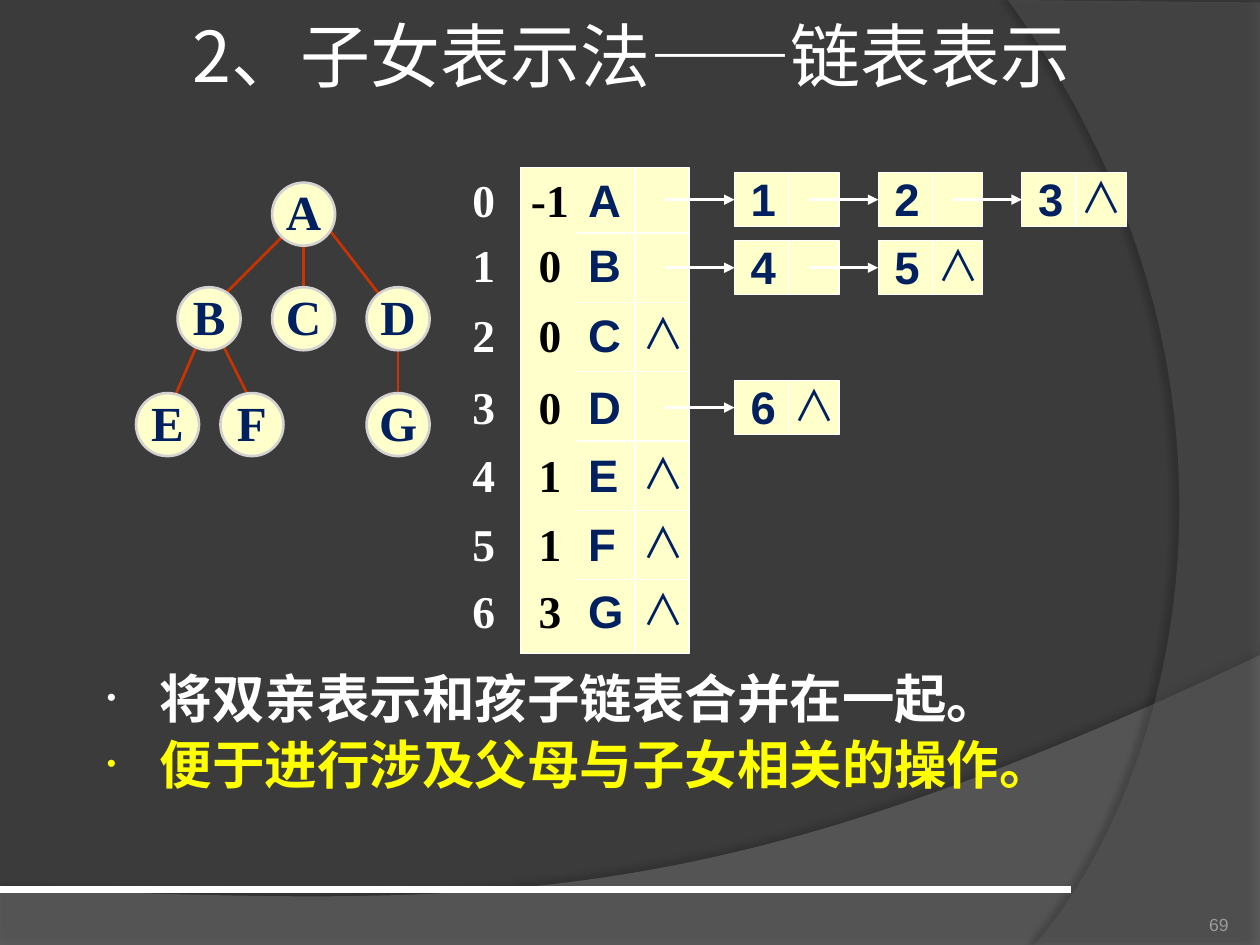
from lxml import etree
from pptx import Presentation
from pptx import util as u
from pptx.dml.color import RGBColor
from pptx.enum import shapes, text
from pptx.oxml import ns

CREAM, NAVY, WHITE, RUST = "FFFFCC", "002060", "FFFFFF", "CC3300"
SERIF, SANS, CJK = "Times New Roman", "Arial", "Noto Sans CJK SC"
LEFT, CENTER, RIGHT = text.PP_ALIGN.LEFT, text.PP_ALIGN.CENTER, text.PP_ALIGN.RIGHT
TOP, MIDDLE, BOTTOM = text.MSO_ANCHOR.TOP, text.MSO_ANCHOR.MIDDLE, text.MSO_ANCHOR.BOTTOM

TREE_NODES = {"A": (2.16, 1.45), "B": (1.41, 2.28), "C": (2.16, 2.28), "D": (2.91, 2.28),
              "E": (1.08, 3.12), "F": (1.75, 3.12), "G": (2.91, 3.12)}
TREE_EDGES = [(3.16, 2.7, 3.16, 3.28), (2.58, 1.78, 3.16, 2.53), (1.75, 2.7, 2, 3.2),
              (1.58, 2.7, 1.33, 3.28), (2.25, 1.87, 1.75, 2.37), (2.41, 1.87, 2.41, 2.37)]
# Text top, parent index, node name, has children
ROWS = [(1.32, "-1", "A", True), (1.83, "0", "B", True), (2.39, "0", "C", False),
        (2.96, "0", "D", True), (3.5, "1", "E", False), (4.05, "1", "F", False),
        (4.58, "3", "G", False)]
CHILD_LISTS = [(1.37, "123"), (1.91, "45"), (3.02, "6")]


def color(value):
    return RGBColor.from_string(value)


def add_xml(parent, tag, **attributes):
    return etree.SubElement(parent, ns.qn(tag), attributes)


def format_text(paragraph, content, size=26, font=SANS, ink=NAVY, bold=True, align=LEFT):
    paragraph.alignment = align
    run = paragraph.add_run()
    run.text = content
    run.font.name = font
    run.font.size = u.Pt(size)
    run.font.bold = bold
    run.font.color.rgb = color(ink)
    east_asian = font if "CJK" in font else CJK
    add_xml(run.font._element, "a:ea", typeface=east_asian)


def add_text(slide, content, x, y, width, height, anchor=TOP, wrap=False, inset=None, **style):
    frame = slide.shapes.add_textbox(*map(u.Inches, (x, y, width, height))).text_frame
    frame.word_wrap = wrap
    frame.vertical_anchor = anchor
    if inset is not None:
        frame.margin_left = frame.margin_right = u.Inches(inset)
        frame.margin_top = frame.margin_bottom = u.Inches(inset)
    format_text(frame.paragraphs[0], content, **style)
    return frame


def add_line(slide, x1, y1, x2, y2, ink=WHITE, width=0.75, arrow=False):
    line = slide.shapes.add_connector(shapes.MSO_CONNECTOR.STRAIGHT,
                                      *map(u.Inches, (x1, y1, x2, y2)))
    line.line.color.rgb = color(ink)
    line.line.width = u.Pt(width)
    if arrow:
        add_xml(line.line._get_or_add_ln(), "a:tailEnd", type="triangle")
    add_xml(line._element.spPr, "a:effectLst")
    return line


def add_cell(slide, kind, x, y, width, height, outline=WHITE, weight=0.75):
    shape = slide.shapes.add_shape(kind, *map(u.Inches, (x, y, width, height)))
    shape.shadow.inherit = False
    shape.fill.solid()
    shape.fill.fore_color.rgb = color(CREAM)
    shape.line.color.rgb = color(outline)
    shape.line.width = u.Pt(weight)
    return shape


def add_nil(slide, x, y):
    add_text(slide, "∧", x, y, 0.53, 0.5, size=24, font=CJK, bold=False)


def curve(p0, p1, p2, p3, steps=60):
    """Points along a cubic curve, without its first point."""
    for step in range(1, steps + 1):
        t = step / steps
        s = 1 - t
        yield tuple(s**3 * a + 3 * s * s * t * b + 3 * s * t * t * c + t**3 * d
                    for a, b, c, d in zip(p0, p1, p2, p3))


def add_swoosh(slide, points, fill, opacity, shade, distance, direction):
    start, *rest = [tuple(map(u.Inches, point)) for point in points]
    builder = slide.shapes.build_freeform(*start, scale=1.0)
    builder.add_line_segments(rest, close=True)
    shape = builder.convert_to_shape()
    shape.shadow.inherit = False
    shape.line.fill.background()
    shape.fill.solid()
    shape.fill.fore_color.rgb = color(fill)
    properties = shape._element.spPr
    add_xml(properties.find(".//" + ns.qn("a:srgbClr")), "a:alpha", val=str(opacity * 1000))
    shadow = add_xml(properties.find(ns.qn("a:effectLst")), "a:outerShdw",
                     blurRad=str(u.Pt(4)), dist=str(u.Pt(distance)),
                     dir=str(direction * 60000), algn="ctr", rotWithShape="0")
    shadow_color = add_xml(shadow, "a:srgbClr", val="000000")
    add_xml(shadow_color, "a:alpha", val=str(shade * 1000))


def add_background(slide):
    slide.background.fill.solid()
    slide.background.fill.fore_color.rgb = color("3B3B3B")
    wave = curve((10, 5.2), (5.59, 7.29), (3.91, 7.19), (0, 7.05))
    add_swoosh(slide, [(0, 7.5), (10, 7.5), (10, 5.2), *wave], "7F7F7F", 45, 35, 3.5, 270)
    arc = curve((8.21, 7.5), (9.35, 6.19), (10.18, 3), (8, 0))
    add_swoosh(slide, [(10, 0.02), (10, 7.5), (8.21, 7.5), *arc], "5E5E5E", 40, 45, 4, 180)
    add_line(slide, 0, 7.06, 8.5, 7.06, width=4.5)


def add_bullets(slide, items):
    frame = slide.shapes.add_textbox(*map(u.Inches, (0.71, 5.21, 8.76, 1.81))).text_frame
    frame.word_wrap = True
    for index, (content, ink) in enumerate(items):
        paragraph = frame.paragraphs[0] if index == 0 else frame.add_paragraph()
        paragraph.line_spacing = u.Pt(37.8)
        properties = paragraph._p.get_or_add_pPr()
        properties.set("marL", str(u.Inches(0.46)))
        properties.set("indent", str(u.Inches(-0.42)))
        add_xml(properties, "a:buSzPct", val="50000")
        add_xml(properties, "a:buFont", typeface=SANS)
        add_xml(properties, "a:buChar", char="•")
        format_text(paragraph, content, size=30, ink=ink)


def add_tree(slide):
    for edge in TREE_EDGES:
        add_line(slide, *edge, ink=RUST, width=1.5)
    for name, (x, y) in TREE_NODES.items():
        node = add_cell(slide, shapes.MSO_SHAPE.OVAL, x, y, 0.5, 0.5, "D4D2D0", 1.5)
        frame = node.text_frame
        frame.word_wrap = False
        frame.vertical_anchor = MIDDLE
        frame.margin_left = frame.margin_right = frame.margin_top = 0
        frame.margin_bottom = u.Inches(0.05)
        format_text(frame.paragraphs[0], name, size=28, font=SERIF, align=CENTER)


def add_child_list(slide, y, children):
    for column, child in enumerate(children):
        x = 5.83 + 1.14 * column
        cell = add_cell(slide, shapes.MSO_SHAPE.RECTANGLE, x, y, 0.83, 0.43)
        add_line(slide, x + 0.43, y, x + 0.43, y + 0.43)
        middle = y + 0.215
        arrow = add_line(slide, x - 0.55, middle, x, middle, width=1.5, arrow=True)
        arrow.end_connect(cell, 1)
        add_text(slide, child, x + 0.03, y - 0.06, 0.4, 0.53)
    add_nil(slide, x + 0.37, y - 0.06)


def add_node_array(slide):
    add_cell(slide, shapes.MSO_SHAPE.RECTANGLE, 4.13, 1.33, 1.34, 3.86)
    for y, children in CHILD_LISTS:
        add_child_list(slide, y, children)
    for row in range(len(ROWS) - 1):
        y = 1.85 + 0.55 * row
        add_line(slide, 5.47, y, 4.57, y)
    add_line(slide, 5.04, 1.33, 5.04, 5.19)
    for index, (y, parent, name, has_children) in enumerate(ROWS):
        add_text(slide, str(index), 3.65, y, 0.38, 0.53, font=SERIF, ink=WHITE)
        add_text(slide, parent, 4.11, y, 0.51, 0.53, font=SERIF, ink="000000", align=CENTER)
        add_text(slide, name, 4.57, y, 0.46, 0.53, wrap=True)
        if not has_children:
            add_nil(slide, 5, y)


def main():
    presentation = Presentation()
    presentation.slide_width, presentation.slide_height = u.Inches(10), u.Inches(7.5)
    slide = presentation.slides.add_slide(presentation.slide_layouts[6])
    add_background(slide)
    # Title, remarks and page number
    add_text(slide, "2、子女表示法——链表表示", 0.51, -0.03, 9, 0.93, anchor=MIDDLE, wrap=True,
             inset=0.05, size=40, font="Noto Sans CJK JP", ink=WHITE, bold=False, align=CENTER)
    add_bullets(slide, [("将双亲表示和孩子链表合并在一起。", WHITE),
                        ("便于进行涉及父母与子女相关的操作。", "FFFF00")])
    add_text(slide, "69", 8.92, 7.02, 0.83, 0.4, anchor=BOTTOM, wrap=True, inset=0,
             size=10, ink="9D9B9A", bold=False, align=RIGHT)
    # Tree and its linked representation
    add_tree(slide)
    add_node_array(slide)
    presentation.save("out.pptx")


if __name__ == "__main__":
    main()
